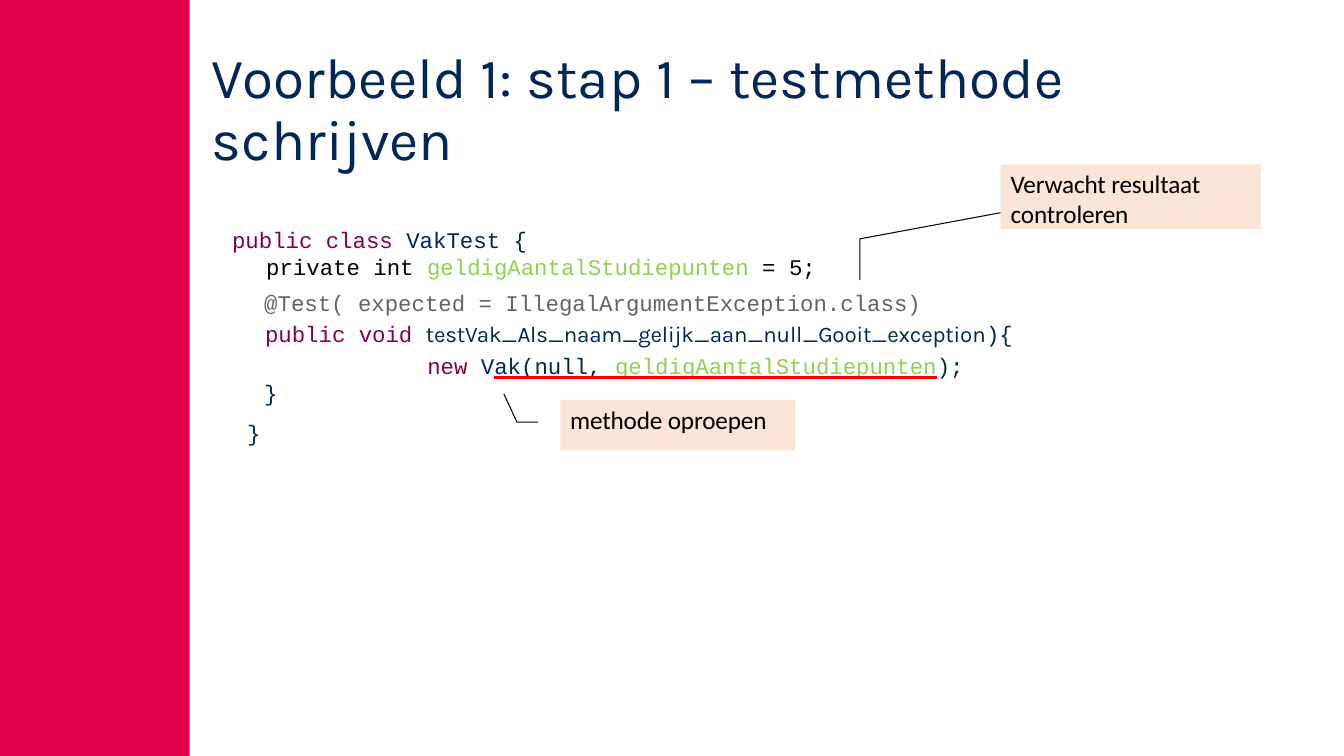
from lxml.etree import SubElement
from pptx import Presentation
from pptx.dml.color import RGBColor
from pptx.enum.shapes import MSO_SHAPE as Shape
from pptx.enum.text import MSO_ANCHOR as Anchor, MSO_UNDERLINE as Under, PP_ALIGN as Align
from pptx.oxml.ns import qn
from pptx.util import Cm, Pt

RED = RGBColor(0xE0, 0x00, 0x49)
NAVY = RGBColor(0x00, 0x27, 0x57)
PLUM = RGBColor(0x7F, 0x00, 0x55)
GRAY = RGBColor(0x64, 0x64, 0x64)
LIME = RGBColor(0x92, 0xD0, 0x50)
PEACH = RGBColor(0xFB, 0xE5, 0xD6)
BLACK = RGBColor(0, 0, 0)
SANS, MONO, NOTE = "Karla", "Courier New", "Calibri"


class Page:
    def __init__(self, slide):
        self.shapes = slide.shapes

    def rect(self, box, fill):
        shape = self.shapes.add_shape(Shape.RECTANGLE, *map(Cm, box))
        shape.shadow.inherit = False
        shape.fill.solid()
        shape.fill.fore_color.rgb = fill
        shape.line.fill.background()
        return shape

    def frame(self, shape, top, left=0):
        frame = shape.text_frame
        frame.word_wrap = True
        frame.vertical_anchor = Anchor.TOP
        frame.margin_left, frame.margin_top = Cm(left), Cm(top)
        frame.margin_right = frame.margin_bottom = 0
        return frame

    def text(self, box, top, left=0):
        return self.frame(self.shapes.add_textbox(*map(Cm, box)), top, left)

    def para(self, para, runs, before=0, left=0.03, hang=0, space=None):
        """Fill a paragraph with (text, colour, format) runs."""
        para.alignment = Align.LEFT
        para.space_before = Pt(before)
        if space:
            para.line_spacing = space
        props = para._p.get_or_add_pPr()
        props.set("marL", str(Cm(left)))
        props.set("indent", str(Cm(-hang)))
        for text, color, style in runs:
            run = para.add_run()
            run.text = text
            self.style(run, color, **style)

    def style(self, run, color, name=MONO, size=16, track=0, mark=False):
        font = run.font
        font.name, font.size, font.color.rgb = name, Pt(size), color
        props = font._element
        if track:
            props.set("spc", str(track))
        if mark:
            font.underline = Under.HEAVY_LINE
            fill = SubElement(props, qn("a:uFill"))
            solid = SubElement(fill, qn("a:solidFill"))
            SubElement(solid, qn("a:srgbClr")).set("val", "FF0000")
            props.find(qn("a:solidFill")).addnext(fill)

    def code(self, box, runs, top, before=0, left=0):
        self.para(self.text(box, top, left).paragraphs[0], runs, before)

    def note(self, box, text):
        frame = self.frame(self.rect(box, PEACH), 0.1)
        run = (text, BLACK, dict(name=NOTE, size=18, track=-10))
        self.para(frame.paragraphs[0], [run], 2.6, left=0.25)

    def leader(self, start, *rest):
        """Draw the thin bent line from a note to its code."""
        path = self.shapes.build_freeform(*map(Cm, start))
        path.add_line_segments([(Cm(x), Cm(y)) for x, y in rest], close=False)
        line = path.convert_to_shape()
        line.shadow.inherit = False
        line.fill.background()
        line.line.color.rgb = BLACK
        line.line.width = Pt(0.75)


def main():
    deck = Presentation()
    deck.slide_width, deck.slide_height = Cm(33.87), Cm(19.05)
    page = Page(deck.slides.add_slide(deck.slide_layouts[6]))

    page.rect((0, 0, 4.78, 19.05), RED)
    title = page.text((5.31, 0.99, 22.17, 3.35), 0.23)
    head = ("Voorbeeld 1: stap 1 – testmethode schrijven", NAVY,
            dict(name=SANS, size=40.5, track=10))
    page.para(title.paragraphs[0], [head], 6.5, space=Pt(44))

    page.code((5.82, 5.56, 11.28, 0.84),
              [("public class ", PLUM, {}), ("VakTest {", NAVY, {})], 0.15, 8.2)
    page.code((6.43, 6.25, 14.58, 0.94),
              [("private int ", BLACK, {}), ("geldigAantalStudiepunten", LIME, {}),
               (" = 5;", BLACK, {})], 0.13, left=0.25)

    test = page.text((6.63, 7.14, 22.17, 2.39), 0.15)
    page.para(test.paragraphs[0],
              [("@Test( expected = IllegalArgumentException.class)", GRAY, {})], 4.1)
    name = "testVak_Als_naam_gelijk_aan_null_Gooit_exception"
    mark = dict(mark=True)
    for runs in (
        [("public void ", PLUM, {}), (name, NAVY, dict(name=SANS, track=-10)),
         ("){", NAVY, {})],
        [("\t", NAVY, {}), ("new ", PLUM, {}), ("V", NAVY, {}),
         ("ak(null, ", NAVY, mark), ("geldigAantalStudiepunten", LIME, mark),
         (");", NAVY, {})],
    ):
        page.para(test.add_paragraph(), runs, 0.3, left=4.14, hang=4.09, space=1.15)

    for x, y in ((6.63, 9.53), (6.2, 10.54)):
        page.code((x, y, 0.41, 0.74), [("}", NAVY, {})], 0.03, 1)

    page.leader((13.56, 10.64), (13.03, 10.64), (12.7, 9.93))
    page.note((14.12, 10.08, 5.92, 1.27), "methode oproepen")
    page.leader((21.67, 7.06), (21.67, 6.02), (25.22, 5.36))
    page.note((25.22, 4.14, 6.55, 1.63), "Verwacht resultaat controleren")

    deck.save("out.pptx")


if __name__ == "__main__":
    main()
